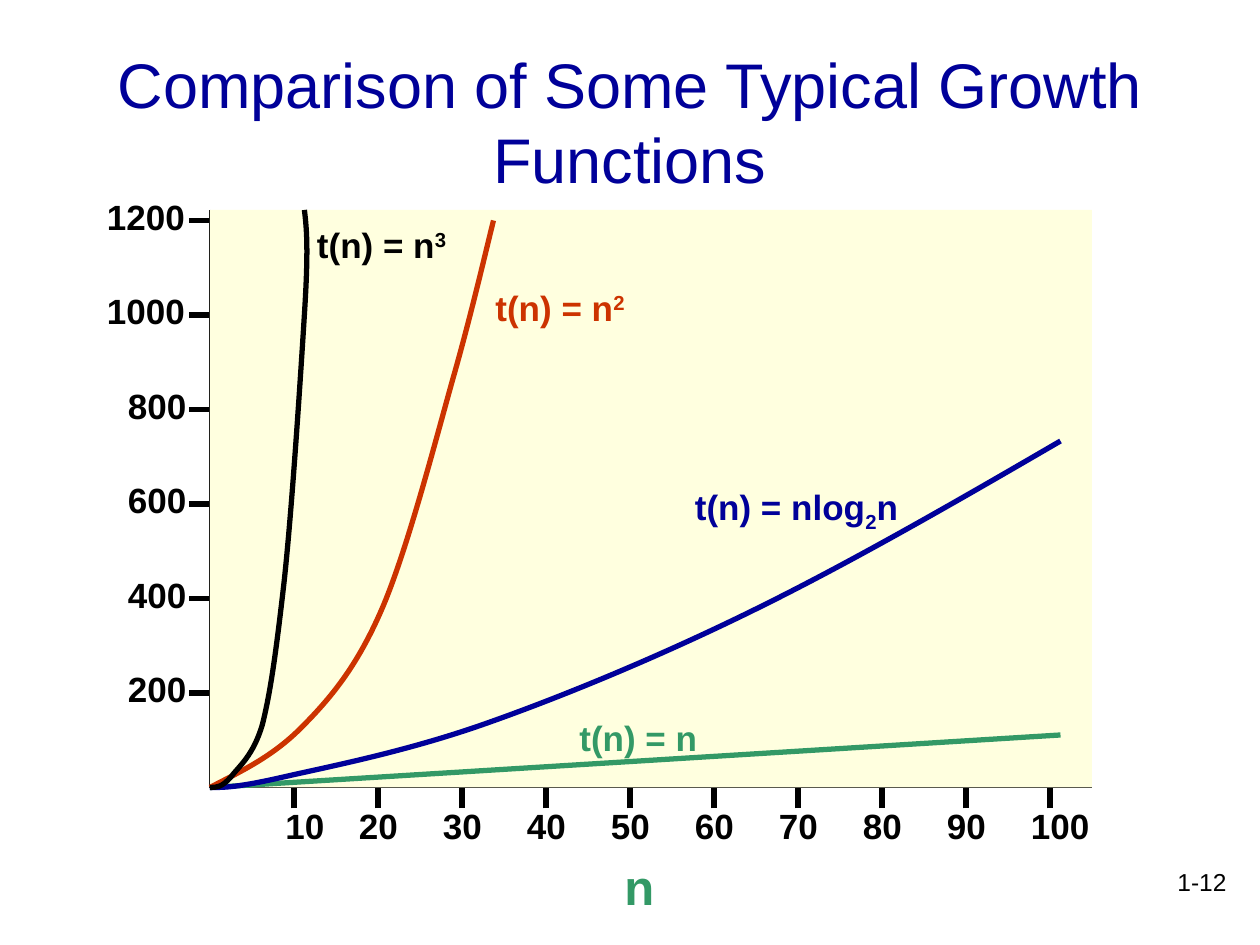
"""Build a slide comparing the growth of four typical functions."""
from dataclasses import dataclass

from lxml import etree
from pptx import Presentation
from pptx import util as u
from pptx.dml.color import RGBColor
from pptx.enum import shapes, text
from pptx.oxml.ns import qn

SCALE = 9525


@dataclass(frozen=True)
class Theme:
    """Colours, fonts and type sizes of the slide."""

    black: str = "000000"
    navy: str = "000099"
    red: str = "CC3300"
    green: str = "339966"
    cream: str = "FFFFDF"
    font: str = "Arial"
    spacer_font: str = "Times New Roman"
    title: int = 36
    axis_name: int = 28
    spacer: int = 24
    label: int = 20
    number: int = 14


THEME = Theme()
CURVES = [
    (THEME.navy, [(0, 440), (11, 440), (21, 440), (56, 432), (91, 424), (148, 413), (208, 392),
                  (268, 371), (343, 340), (416, 304), (489, 268), (569, 222), (648, 176)]),
    (THEME.red, [(0, 440), (23, 428), (47, 417), (69, 395), (92, 372), (112, 348), (131, 304),
                 (150, 260), (171, 179), (185, 129), (199, 80), (211, 28), (216, 8)]),
    (THEME.black, [(0, 440), (5, 440), (9, 440), (16, 432), (22, 424), (33, 416), (40, 392),
                   (46, 368), (50, 340), (56, 288), (62, 236), (69, 128), (72, 80),
                   (75, 32), (74, 16), (72, 0)]),
]
FORMULAS = [
    ((64, 0, 160, 48), THEME.black, [("t(n) = n", 0), ("3", 30)]),
    ((200, 48, 160, 48), THEME.red, [("t(n) = n", 0), ("2", 30)]),
    ((352, 200, 200, 48), THEME.navy, [("t(n) = nlog", 0), ("2", -25), ("n", 0)]),
    ((264, 376, 128, 48), THEME.green, [("t(n) = n", 0)]),
]


def px(*lengths):
    """Turn px lengths into EMU."""
    return [u.Emu(length * SCALE) for length in lengths]


def style_font(font, size, color, bold=False, name=THEME.font):
    """Set the look of a font."""
    font.name, font.size, font.bold = name, u.Pt(size), bold
    font.color.rgb = RGBColor.from_string(color)


def add_text(slide, box, content, size, color, bold=True, align=text.PP_ALIGN.LEFT,
             anchor=text.MSO_ANCHOR.TOP):
    """Add a one-paragraph text box and return its paragraph."""
    frame = slide.shapes.add_textbox(*px(*box)).text_frame
    frame.word_wrap = True
    frame.vertical_anchor = anchor
    paragraph = frame.paragraphs[0]
    paragraph.text = content
    paragraph.alignment = align
    style_font(paragraph.font, size, color, bold)
    return paragraph


def style_line(line, color, width):
    """Set the colour and the width of a line."""
    line.color.rgb = RGBColor.from_string(color)
    line.width = u.Pt(width)


def add_line(slide, start, end, color, width):
    """Add a straight line without shadow."""
    connector = slide.shapes.add_connector(shapes.MSO_CONNECTOR.STRAIGHT, *px(*start, *end))
    style_line(connector.line, color, width)
    etree.SubElement(connector._element.spPr, qn("a:effectLst"))


def add_curve(slide, left, top, color, controls):
    """Draw one open curve, joining each three segments into a cubic one."""
    points = [px(left + x, top + y) for x, y in controls]
    builder = slide.shapes.build_freeform(*points[0])
    builder.add_line_segments(points[1:], close=False)
    shape = builder.convert_to_shape()
    segments = list(shape._element.iter(qn("a:lnTo")))
    for first in range(0, len(segments), 3):
        cubic = etree.Element(qn("a:cubicBezTo"))
        segments[first].addprevious(cubic)
        for segment in segments[first:first + 3]:
            cubic.append(segment[0])
            segment.getparent().remove(segment)
    shape.shadow.inherit = False
    shape.fill.background()
    style_line(shape.line, color, 3)


def add_axes(slide, box):
    """Draw both axes with their ticks, numbers and name."""
    left, top, width, height = box
    bottom = top + height
    add_line(slide, (left, top), (left, bottom), THEME.black, 1.5)
    add_line(slide, (left, bottom), (left + width, bottom), THEME.black, 0.75)
    for step in range(1, 7):
        y = bottom - 72 * step
        number = str(200 * step)
        label_width = 16 + 16 * len(number)
        add_line(slide, (left - 16, y), (left + 8, y), THEME.black, 3)
        add_text(slide, (left - 8 - label_width, y - 24, label_width, 41), number,
                 THEME.label, THEME.black)
    for step in range(1, 11):
        x = left + 64 * step
        number = str(10 * step)
        label_left = x - (16 if step == 1 else 24)
        add_line(slide, (x, bottom + 16), (x, bottom - 8), THEME.black, 3)
        add_text(slide, (label_left, bottom + 8, 40 + 8 * len(number), 41), number,
                 THEME.label, THEME.black)
    add_text(slide, (left + 296, bottom + 48, 56, 55), " n", THEME.axis_name, THEME.green)


def add_formula(slide, box, color, parts):
    """Label a curve with its formula, raising or lowering parts."""
    paragraph = add_text(slide, box, "", THEME.label, color)
    spacer = paragraph.add_run()
    spacer.text = " "
    style_font(spacer.font, THEME.spacer, color, True, THEME.spacer_font)
    for content, baseline in parts:
        run = paragraph.add_run()
        run.text = content
        style_font(run.font, THEME.label, color, True)
        if baseline:
            run._r.get_or_add_rPr().set("baseline", str(baseline * 1000))


def add_plot(slide, box):
    """Draw the plot area with its curves and formulas."""
    left, top, _, height = box
    area = slide.shapes.add_shape(shapes.MSO_SHAPE.RECTANGLE, *px(*box))
    area.shadow.inherit = False
    area.fill.solid()
    area.fill.fore_color.rgb = RGBColor.from_string(THEME.cream)
    area.line.fill.background()
    add_line(slide, (left + 648, top + 400), (left, top + height), THEME.green, 3)
    for color, controls in CURVES:
        add_curve(slide, left, top, color, controls)
    for (x, y, label_width, label_height), color, parts in FORMULAS:
        add_formula(slide, (left + x, top + y, label_width, label_height), color, parts)


def main():
    """Build and save the slide."""
    presentation = Presentation()
    presentation.slide_width, presentation.slide_height = px(960, 720)
    slide = presentation.slides.add_slide(presentation.slide_layouts[6])
    plot = (160, 160, 672, 440)
    add_text(slide, (744, 656, 200, 48), "1-12", THEME.number, THEME.black, False,
             text.PP_ALIGN.RIGHT)
    add_text(slide, (72, 32, 816, 120), "Comparison of Some Typical Growth Functions",
             THEME.title, THEME.navy, False, text.PP_ALIGN.CENTER, text.MSO_ANCHOR.MIDDLE)
    add_axes(slide, plot)
    add_plot(slide, plot)
    presentation.save("out.pptx")


if __name__ == "__main__":
    main()
